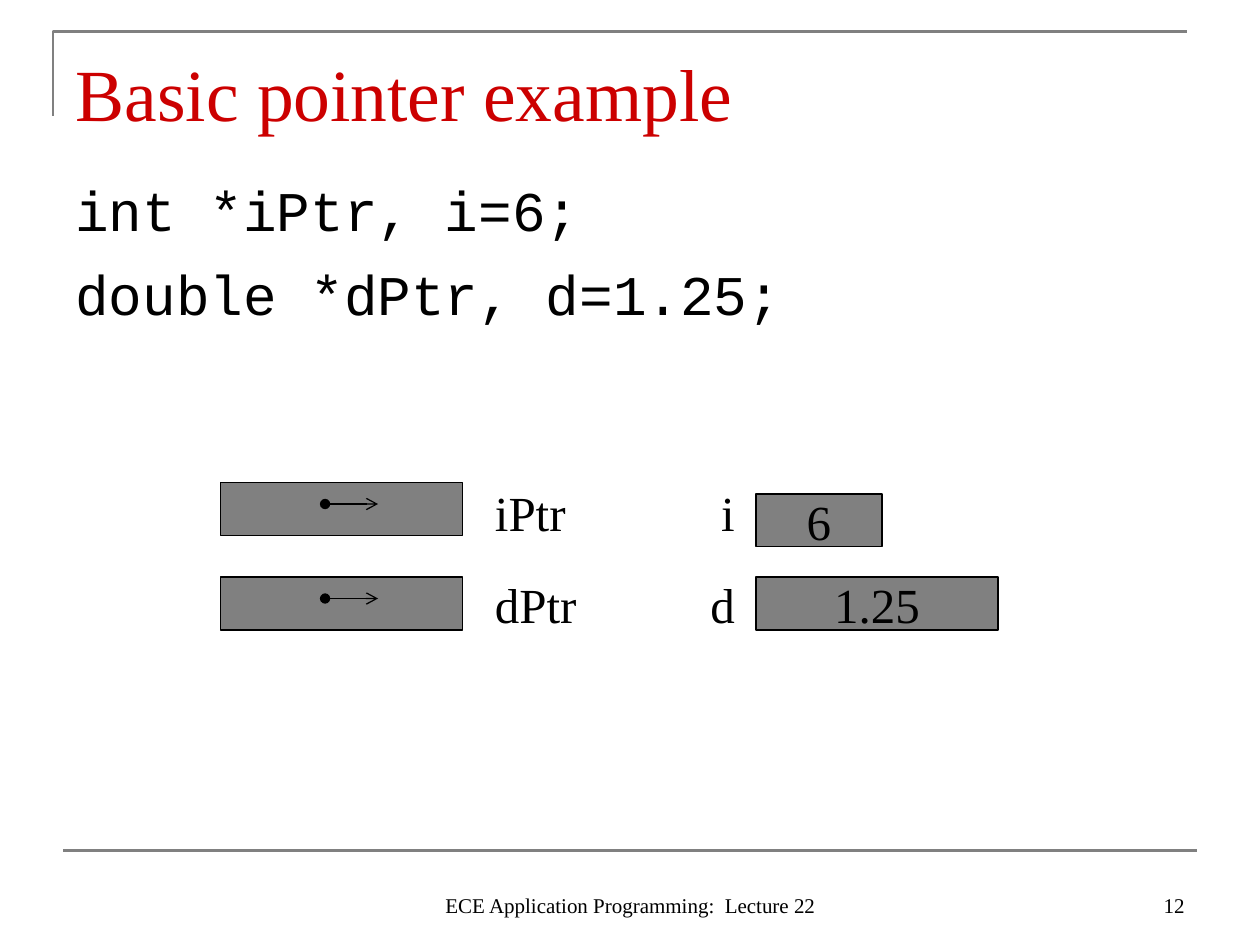
from dataclasses import dataclass

from lxml import etree
from pptx import Presentation
from pptx.dml.color import RGBColor
from pptx.enum import shapes, text
from pptx.oxml import ns
from pptx.util import Inches, Pt


@dataclass(frozen=True)
class Theme:
    serif: str = "Times New Roman"
    mono: str = "Courier New"
    red: RGBColor = RGBColor(0xCC, 0, 0)
    gray: RGBColor = RGBColor(0x80, 0x80, 0x80)
    black: RGBColor = RGBColor(0, 0, 0)
    title: float = 42
    code: float = 32
    label: float = 28
    footer: float = 12
    rule: float = 1.5
    outline: float = 0.75


THEME = Theme()
ALIGN, ANCHOR = text.PP_ALIGN, text.MSO_ANCHOR


def write(frame, lines, size, font=THEME.serif, color=THEME.black,
          align=ALIGN.LEFT, anchor=ANCHOR.TOP, gap=0, top=0.05, bottom=0.05):
    """Fill a text frame with one paragraph a line, gap points apart."""
    frame.word_wrap = True
    frame.auto_size = text.MSO_AUTO_SIZE.NONE
    frame.vertical_anchor = anchor
    frame.margin_left = frame.margin_right = Inches(0.1)
    frame.margin_top, frame.margin_bottom = Inches(top), Inches(bottom)
    for index, line in enumerate(lines):
        paragraph = frame.add_paragraph() if index else frame.paragraphs[0]
        paragraph.text = line
        paragraph.alignment = align
        paragraph.space_before = Pt(gap if index else 0)
        paragraph.font.name = font
        paragraph.font.size = Pt(size)
        paragraph.font.color.rgb = color


def add_text(slide, box, lines, size, **style):
    label = slide.shapes.add_textbox(*map(Inches, box))
    write(label.text_frame, lines, size, **style)


def add_line(slide, start, end, color, width, pointer=False):
    line = slide.shapes.add_connector(
        shapes.MSO_CONNECTOR.STRAIGHT, *map(Inches, (*start, *end)))
    line.line.color.rgb = color
    line.line.width = Pt(width)
    if pointer:
        outline = line.line._get_or_add_ln()
        for tag, kind in (("a:headEnd", "oval"), ("a:tailEnd", "arrow")):
            etree.SubElement(outline, ns.qn(tag), type=kind)
    etree.SubElement(line._element.spPr, ns.qn("a:effectLst"))


def add_cell(slide, box, value=None):
    """Draw a memory cell, with its value if it has one."""
    cell = slide.shapes.add_shape(shapes.MSO_SHAPE.RECTANGLE, *map(Inches, box))
    cell.shadow.inherit = False
    cell.fill.solid()
    cell.fill.fore_color.rgb = THEME.gray
    cell.line.color.rgb = THEME.black
    cell.line.width = Pt(THEME.outline)
    if value:
        write(cell.text_frame, [value], THEME.label,
              align=ALIGN.CENTER, anchor=ANCHOR.MIDDLE)
        cell.text_frame.word_wrap = False


def add_frame(slide, box):
    """Corner bracket above the title and rule above the footer."""
    left, top, width, height = box
    builder = slide.shapes.build_freeform(
        Inches(left), Inches(top + 0.67), scale=1.0)
    builder.add_line_segments(
        [(Inches(left), Inches(top)), (Inches(left + width), Inches(top))],
        close=False)
    bracket = builder.convert_to_shape()
    bracket.shadow.inherit = False
    bracket.fill.background()
    bracket.line.color.rgb = THEME.gray
    bracket.line.width = Pt(THEME.rule)
    rule_left, rule_y = left + 0.08, top + height
    add_line(slide, (rule_left, rule_y), (rule_left + width, rule_y),
             THEME.gray, THEME.rule)


def place_title(slide, box, wording):
    title = slide.shapes.title
    title.left, title.top, title.width, title.height = map(Inches, box)
    write(title.text_frame, [wording], THEME.title, color=THEME.red,
          anchor=ANCHOR.BOTTOM, bottom=0)


def add_memory(slide, box):
    """Pointer cells on the left, the variables on the right."""
    left, top, _, height = box
    wide, tall = 1.92, 0.42
    rows = (("6", 1, 0.17), ("1.25", wide, 0.08))
    for index, (value, width, offset) in enumerate(rows):
        cell_top = top + 0.08 + 0.75 * index
        add_cell(slide, (left, cell_top, wide, tall))
        arrow_y = cell_top + 0.17
        add_line(slide, (left + 0.83, arrow_y), (left + 1.25, arrow_y),
                 THEME.black, THEME.outline, pointer=True)
        add_cell(slide, (left + 4.25, top + offset + 0.75 * index,
                         width, tall), value)
    for offset, width, names, align in (
            (2.08, 1.08, ["iPtr", "dPtr"], ALIGN.LEFT),
            (3.58, 0.6, ["i", "d"], ALIGN.RIGHT)):
        add_text(slide, (left + offset, top, width, height), names,
                 THEME.label, align=align, gap=19, top=0.08)


def add_footer(slide, box):
    left, top, width, height = box
    for offset, part_width, wording, align in (
            (0, 3.17, "ECE Application Programming:  Lecture 22", ALIGN.CENTER),
            (width - 2.33, 2.33, "12", ALIGN.RIGHT)):
        add_text(slide, (left + offset, top, part_width, height), [wording],
                 THEME.footer, align=align, anchor=ANCHOR.BOTTOM)


def main():
    deck = Presentation()
    deck.slide_width, deck.slide_height = Inches(10), Inches(7.5)
    slide = deck.slides.add_slide(deck.slide_layouts[5])
    add_frame(slide, (0.42, 0.25, 9, 6.5))
    place_title(slide, (0.5, 0.3, 9, 0.78), "Basic pointer example")
    # Declarations
    add_text(slide, (0.5, 1.25, 9, 2),
             ["int *iPtr, i=6;", "double *dPtr, d=1.25;"],
             THEME.code, font=THEME.mono, gap=10, top=0.14)
    add_memory(slide, (1.75, 3.75, 6.17, 1.28))
    add_footer(slide, (3.42, 6.83, 6.08, 0.5))
    deck.save("out.pptx")


if __name__ == "__main__":
    main()
